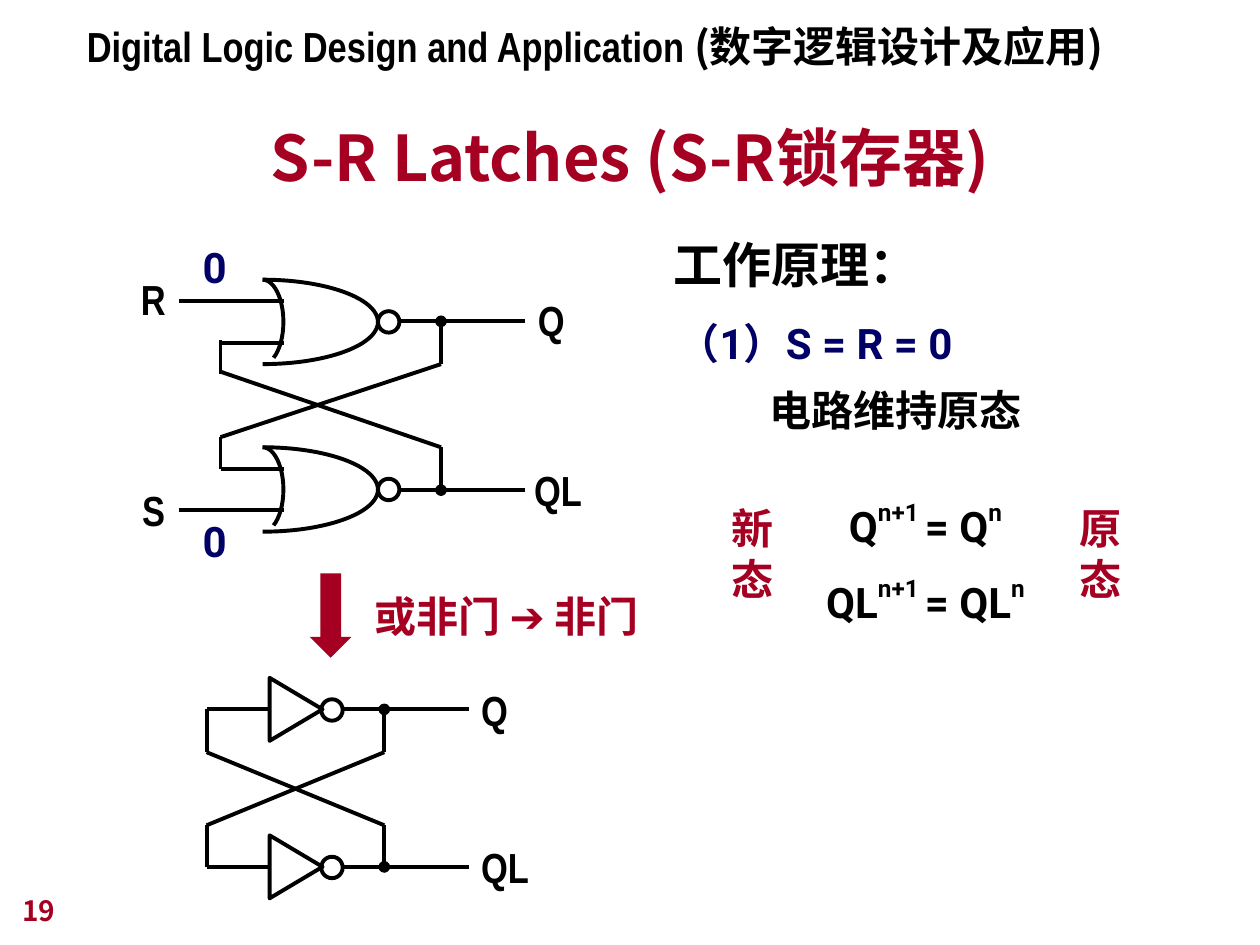
from pptx import Presentation
from pptx.dml.color import RGBColor
from pptx.enum.shapes import MSO_CONNECTOR as Conn, MSO_SHAPE as Kind
from pptx.enum.text import MSO_ANCHOR as Anchor, MSO_AUTO_SIZE as Auto, PP_ALIGN as Align
from pptx.oxml.ns import qn
from pptx.util import Pt
from lxml.etree import SubElement as Sub

PX = 9144
DEGREE = 0.6
BLACK = RGBColor(0x00, 0x00, 0x00)
RED = RGBColor(0xA5, 0x00, 0x21)
NAVY = RGBColor(0x00, 0x00, 0x66)
NARROW, ROBOTO, NOTO = "Arial Narrow", "Roboto", "Noto Sans CJK JP"
UP = 50000


def text(slide, box, paras, font=NARROW, color=BLACK, size=24, wrap=False,
         fit=True, anchor=Anchor.TOP, align=Align.LEFT, space=None):
    """Place bold text; each paragraph is a list of (words, font, baseline) runs."""
    frame = slide.shapes.add_textbox(*(v * PX for v in box)).text_frame
    look = {"word_wrap": wrap, "vertical_anchor": anchor,
            "auto_size": Auto.SHAPE_TO_FIT_TEXT if fit else Auto.NONE}
    for key, val in look.items():
        setattr(frame, key, val)
    for num, runs in enumerate(paras):
        para = frame.add_paragraph() if num else frame.paragraphs[0]
        para.alignment = align
        if space:
            para.line_spacing = space
        for words, face, base in runs:
            run = para.add_run()
            run.text = words
            form = {"name": face or font, "size": Pt(size), "bold": True}
            for key, val in form.items():
                setattr(run.font, key, val)
            run.font.color.rgb = color
            props = run.font._element
            Sub(props, qn("a:ea")).set("typeface", NOTO)
            if base:
                props.set("baseline", str(base))


def label(slide, box, words, **look):
    """Place plain text, one paragraph to a line."""
    text(slide, box, [[(line, None, 0)] for line in words.split("\n")], **look)


def shape(slide, kind, box):
    """Add a preset shape with a black outline, no fill and no shadow."""
    item = slide.shapes.add_shape(kind, *(v * PX for v in box))
    item.shadow.inherit = False
    item.fill.background()
    item.line.color.rgb = BLACK
    item.line.width = Pt(2.25)
    return item


def wire(slide, x, y, ends, dot=False):
    """Draw one wire from ends measured from (x, y), with a dot at its start if asked."""
    x1, y1, x2, y2 = ends
    line = slide.shapes.add_connector(
        Conn.STRAIGHT, (x + x1) * PX, (y + y1) * PX, (x + x2) * PX, (y + y2) * PX)
    line.line.color.rgb = BLACK
    line.line.width = Pt(2.25)
    if dot:
        Sub(line.line._get_or_add_ln(), qn("a:headEnd")).set("type", "oval")
    Sub(line._element.spPr, qn("a:effectLst"))


def wires(slide, x, y, plain, dots):
    """Draw the plain wires and the wires that start at a junction dot."""
    for ends in plain:
        wire(slide, x, y, ends)
    for ends in dots:
        wire(slide, x, y, ends, True)


def bubble(slide, x, y):
    """Draw the inverting circle."""
    shape(slide, Kind.OVAL, (x, y, 17, 17))


def nor(slide, x, y):
    """Draw a NOR gate with its top left corner at (x, y)."""
    for left, wide, start, stop in ((-91, 183, 270, 0), (-91, 183, 0, 90),
                                    (-16, 33, 270, 73)):
        arc = shape(slide, Kind.ARC, (x + left, y, wide, 67))
        arc.adjustments[0] = start * DEGREE
        arc.adjustments[1] = stop * DEGREE
    bubble(slide, x + 92, y + 25)


def latch(slide, x, y):
    """Draw the cross-coupled NOR latch."""
    for row in (35, 168):
        nor(slide, x + 108, y + row)
    wires(slide, x, y,
          [(42, 52, 125, 52), (42, 218, 125, 218), (75, 85, 125, 85),
           (75, 185, 125, 185), (217, 68, 317, 68), (217, 202, 317, 202),
           (75, 83, 75, 110), (75, 108, 250, 168),
           (75, 160, 75, 185), (75, 160, 250, 102)],
          [(250, 68, 250, 102), (250, 202, 250, 168)])
    for left, top, wide, words in ((317, 42, 41, "Q"), (314, 177, 58, "QL"),
                                   (2, 25, 39, "R"), (3, 193, 38, "S")):
        label(slide, (x + left, y + top, wide, 50), words)
    for top in (0, 217):
        label(slide, (x + 51, y + top, 39, 50), "0", font=ROBOTO, color=NAVY)


def invert(slide, x, y):
    """Draw the cross-coupled pair of inverters."""
    for row, wide, words in ((0, 41, "Q"), (125, 58, "QL")):
        gate = shape(slide, Kind.ISOSCELES_TRIANGLE, (x + 46, y + row + 4, 50, 42))
        gate.rotation = 90
        bubble(slide, x + 91, y + row + 17)
        wires(slide, x, y + row, [(0, 25, 50, 25), (108, 25, 208, 25)], [])
        label(slide, (x + 208, y + row, wide, 50), words)
    wires(slide, x, y,
          [(0, 25, 0, 59), (0, 59, 141, 117), (0, 117, 0, 150), (0, 117, 141, 59)],
          [(141, 25, 141, 59), (141, 150, 141, 117)])


def change(slide, x, y):
    """Draw the arrow from the latch to its equivalent, with its caption."""
    arrow = shape(slide, Kind.DOWN_ARROW, (x, y, 33, 67))
    arrow.fill.solid()
    arrow.fill.fore_color.rgb = RED
    arrow.line.fill.background()
    text(slide, (x + 41, y + 9, 235, 50),
         [[("或非门 ", None, 0), ("➔", "Arial", 0), (" 非门", None, 0)]],
         font=ROBOTO, color=RED)


def theory(slide, x, y):
    """Write the working principle and the state equations."""
    label(slide, (x, y, 214, 57), "工作原理：", size=28)
    label(slide, (x + 3, y + 66, 262, 50), "（1）S = R = 0", font=ROBOTO, color=NAVY)
    label(slide, (x + 76, y + 119, 220, 50), "电路维持原态", font=ROBOTO)
    text(slide, (x + 114, y + 192, 191, 130),
         [[(name, None, 0), ("n+1 ", None, UP), ("= " + name, None, 0), ("n", None, UP)]
          for name in ("Q", "QL")],
         font=ROBOTO, align=Align.CENTER, space=1.4)
    for left, words in ((46, "新\n态"), (322, "原\n态")):
        label(slide, (x + left, y + 213, 53, 90), words, color=RED)


def heading(slide, x, y):
    """Write the course name and the slide title."""
    text(slide, (x, y, 841, 50),
         [[("Digital Logic Design and Application ", None, 0),
           ("(数字逻辑设计及应用)", NOTO, 0)]], wrap=True)
    label(slide, (x + 16, y + 65, 850, 83), "S-R Latches (S-R锁存器)", font=NOTO,
          color=RED, size=36, wrap=True, fit=False, anchor=Anchor.BOTTOM,
          align=Align.CENTER)


def main():
    """Build and save the slide."""
    deck = Presentation()
    deck.slide_width, deck.slide_height = 1000 * PX, 750 * PX
    slide = deck.slides.add_slide(deck.slide_layouts[6])
    heading(slide, 59, 11)
    latch(slide, 100, 187)
    theory(slide, 525, 181)
    change(slide, 246, 455)
    invert(slide, 164, 538)
    label(slide, (8, 691, 208, 50), "19", font=NOTO, color=RED, size=16,
          wrap=True, fit=False, anchor=Anchor.BOTTOM)
    deck.save("out.pptx")


if __name__ == "__main__":
    main()
